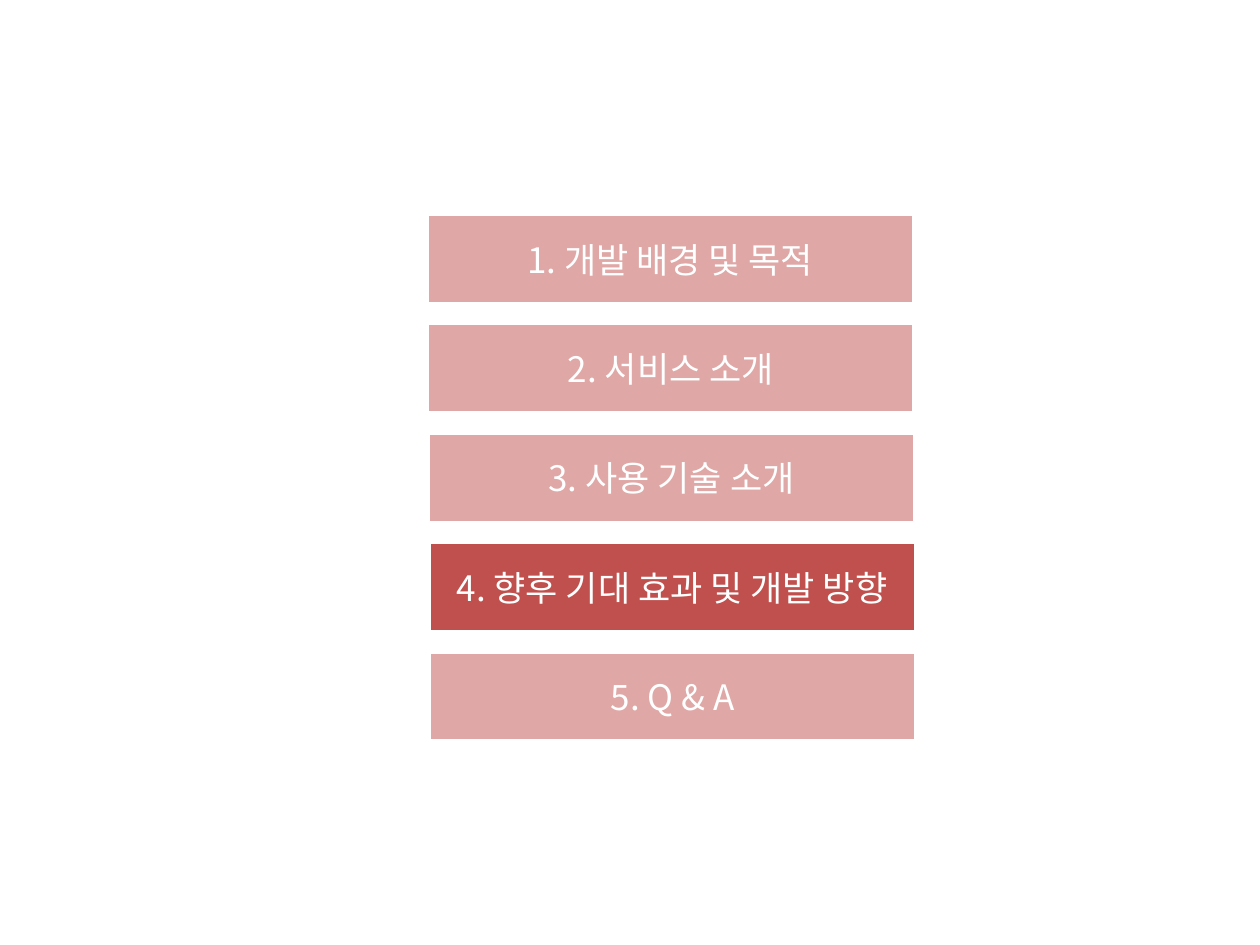
import pptx
import pptx.util
import pptx.dml.color
import pptx.enum.shapes
import pptx.enum.text
import pptx.oxml.ns
from lxml import etree

Pt = pptx.util.Pt
FONT_NAME = "Noto Sans CJK KR"
ACCENT = "C0504D"
WHITE = "FFFFFF"
AGENDA = [
    "1. 개발 배경 및 목적",
    "2. 서비스 소개",
    "3. 사용 기술 소개",
    "4. 향후 기대 효과 및 개발 방향",
    "5. Q & A",
]
CURRENT = 3


def color(value):
    return pptx.dml.color.RGBColor.from_string(value)


def add_child(parent, tag, **attributes):
    return etree.SubElement(parent, pptx.oxml.ns.qn(tag), attributes)


def add_bar(slide, text, left, top, width, height, active):
    shape = slide.shapes.add_shape(
        pptx.enum.shapes.MSO_SHAPE.RECTANGLE,
        Pt(left), Pt(top), Pt(width), Pt(height))
    shape.shadow.inherit = False
    shape.fill.solid()
    shape.fill.fore_color.rgb = color(ACCENT)
    shape.line.color.rgb = color(WHITE)
    shape.line.width = Pt(2)

    # Inactive sections are half transparent
    if not active:
        fill = shape._element.spPr.find(pptx.oxml.ns.qn("a:solidFill"))
        add_child(fill[0], "a:alpha", val="50000")

    # Centred label
    frame = shape.text_frame
    frame.word_wrap = True
    frame.vertical_anchor = pptx.enum.text.MSO_ANCHOR.MIDDLE
    paragraph = frame.paragraphs[0]
    paragraph.alignment = pptx.enum.text.PP_ALIGN.CENTER
    run = paragraph.add_run()
    run.text = text
    for name, value in {"name": FONT_NAME, "size": Pt(20)}.items():
        setattr(run.font, name, value)
    run.font.color.rgb = color(WHITE)
    add_child(run._r.get_or_add_rPr(), "a:ea", typeface=FONT_NAME)


def add_agenda(slide, left, top, width, height):
    bar_width, bar_height = 278, 51
    steps = len(AGENDA) - 1
    shift = (width - bar_width) / steps
    pitch = (height - bar_height) / steps
    for index, text in enumerate(AGENDA):
        add_bar(slide, text, left + index * shift, top + index * pitch,
                bar_width, bar_height, index == CURRENT)


def main():
    presentation = pptx.Presentation()
    presentation.slide_width = Pt(720)
    presentation.slide_height = Pt(540)
    slide = presentation.slides.add_slide(presentation.slide_layouts[6])
    add_agenda(slide, 244, 122.5, 279.5, 301)
    presentation.save("out.pptx")


if __name__ == "__main__":
    main()
